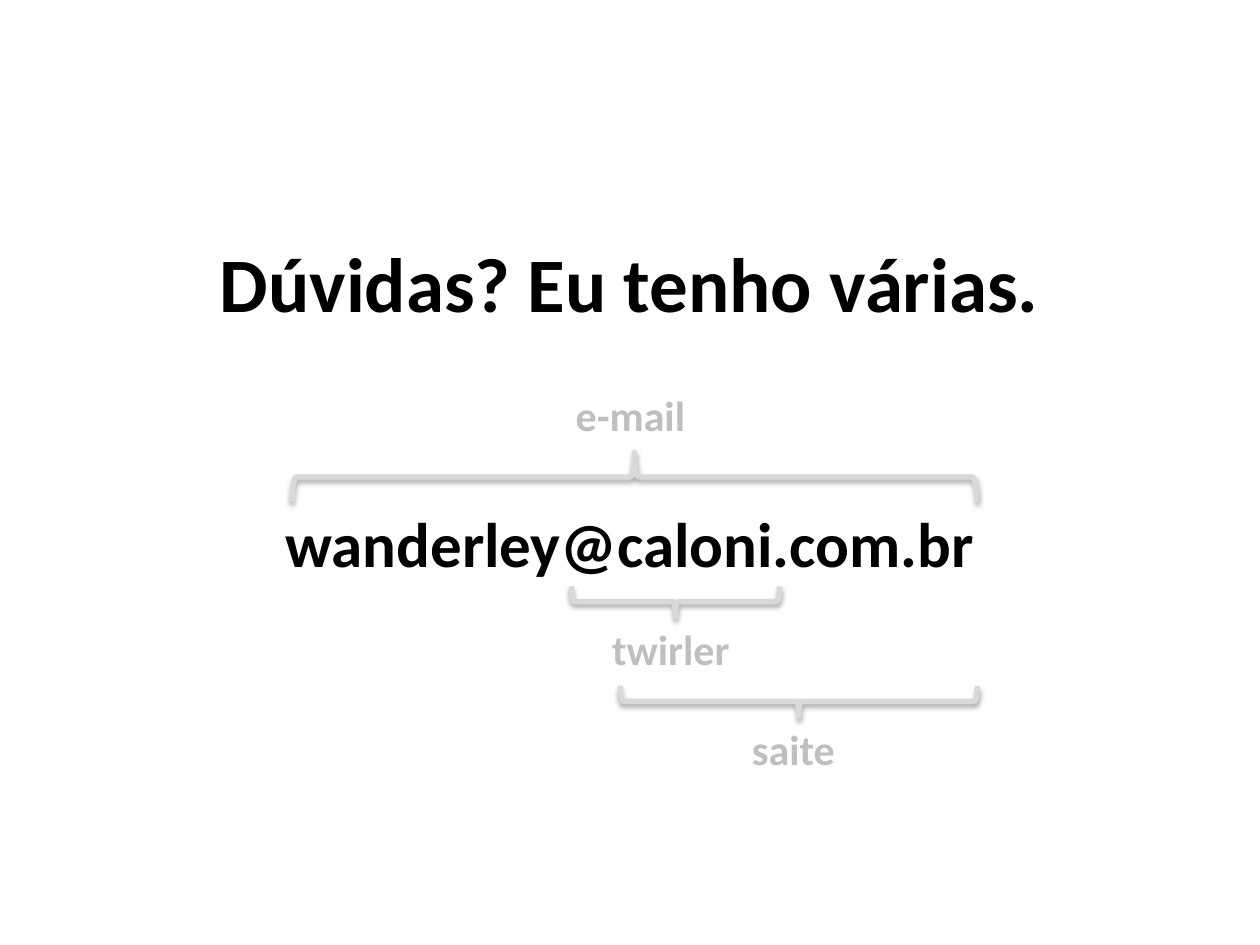
from dataclasses import dataclass

from lxml.etree import SubElement
from pptx import Presentation
from pptx.dml.color import RGBColor
from pptx.enum.shapes import MSO_SHAPE as Preset
from pptx.enum.text import MSO_ANCHOR as Anchor, MSO_AUTO_SIZE as AutoSize, PP_ALIGN as Align
from pptx.oxml.ns import qn
from pptx.slide import Slide
from pptx.text.text import TextFrame
from pptx.util import Inches, Pt

CELL = 0.1  # inches per grid column and row
COLUMNS, ROWS = 100, 75


@dataclass(frozen=True)
class Theme:
    """Colours, font and type sizes of the slide."""
    font: str = "Calibri"
    ink: str = "000000"
    label: str = "BFBFBF"
    brace: str = "D9D9D9"
    title_size: int = 44
    address_size: int = 36
    label_size: int = 24
    brace_width: int = 3


@dataclass(frozen=True)
class Area:
    """A rectangle in grid columns and rows."""
    column: float
    row: float
    columns: float
    rows: float

    def lengths(self) -> tuple:
        """Return left, top, width and height as slide lengths."""
        return tuple(Inches(cells * CELL)
                     for cells in (self.column, self.row, self.columns, self.rows))


@dataclass(frozen=True)
class Part:
    """A part of the address: its name and the brace that spans it."""
    name: str
    label: Area
    brace: Area
    points_up: bool = False


THEME = Theme()
TITLE = Area(7.5, 14.3, 85, 16.1)
ADDRESS = Area(15, 39.55, 70, 6)
PARTS = (
    Part("twirler", Area(47.6, 49, 11.7, 5), Area(45.35, 46.55, 16.5, 2.4)),
    Part("saite", Area(58.7, 56.9, 8.7, 5), Area(49.25, 54.45, 28.3, 2.4)),
    Part("e-mail", Area(44.7, 30.4, 10.8, 5), Area(23.2, 35.9, 54.3, 3.9), points_up=True),
)


def write(frame: TextFrame, text: str, size: int, color: str, align: Align) -> None:
    """Fill a text frame with one bold paragraph."""
    frame.text = text
    para = frame.paragraphs[0]
    para.alignment = align
    font = para.runs[0].font
    font.name, font.size, font.bold = THEME.font, Pt(size), True
    font.color.rgb = RGBColor.from_string(color)


def add_title(page: Slide, text: str) -> None:
    """Place and format the title placeholder."""
    title = page.shapes.title
    title.left, title.top, title.width, title.height = TITLE.lengths()
    title.text_frame.vertical_anchor = Anchor.MIDDLE
    write(title.text_frame, text, THEME.title_size, THEME.ink, Align.CENTER)


def add_address(page: Slide, text: str) -> None:
    """Add the centred address line."""
    frame = page.shapes.add_textbox(*ADDRESS.lengths()).text_frame
    frame.word_wrap = True
    write(frame, text, THEME.address_size, THEME.ink, Align.CENTER)


def add_label(page: Slide, part: Part) -> None:
    """Add the name of an address part."""
    frame = page.shapes.add_textbox(*part.label.lengths()).text_frame
    frame.word_wrap = False
    frame.auto_size = AutoSize.SHAPE_TO_FIT_TEXT
    write(frame, part.name, THEME.label_size, THEME.label, Align.LEFT)


def add_brace(page: Slide, part: Part) -> None:
    """Add a horizontal brace: an upright one turned about its centre."""
    span = part.brace
    shift = (span.columns - span.rows) / 2
    upright = Area(span.column + shift, span.row - shift, span.rows, span.columns)
    preset = Preset.LEFT_BRACE if part.points_up else Preset.RIGHT_BRACE
    brace = page.shapes.add_shape(preset, *upright.lengths())
    brace.rotation = 90
    brace.fill.background()
    brace.line.color.rgb = RGBColor.from_string(THEME.brace)
    brace.line.width = Pt(THEME.brace_width)
    brace.shadow.inherit = False
    effects = brace.element.spPr.find(qn("a:effectLst"))
    shadow = SubElement(effects, qn("a:outerShdw"), blurRad=str(Pt(3.1)),
                        dist=str(Pt(1.8)), dir="5400000", rotWithShape="0")
    tint = SubElement(shadow, qn("a:srgbClr"), val=THEME.ink)
    SubElement(tint, qn("a:alpha"), val="35000")


def main() -> None:
    """Build and save the slide."""
    deck = Presentation()
    deck.slide_width, deck.slide_height = Inches(COLUMNS * CELL), Inches(ROWS * CELL)
    page = deck.slides.add_slide(deck.slide_layouts.get_by_name("Title Only"))
    add_title(page, "Dúvidas? Eu tenho várias.")
    add_address(page, "wanderley@caloni.com.br")
    for part in PARTS:
        add_label(page, part)
    for part in PARTS:
        add_brace(page, part)
    deck.save("out.pptx")


main()
